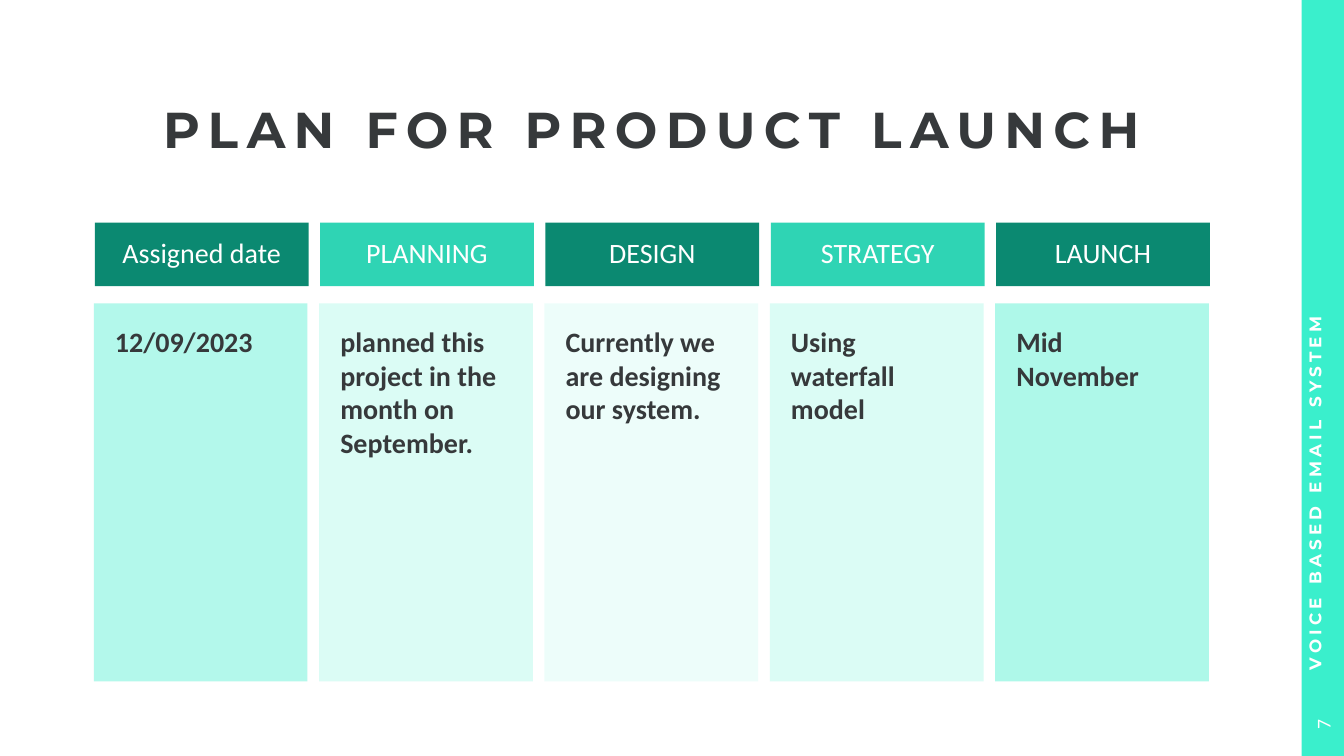
from lxml import etree
from pptx import Presentation
from pptx.dml.color import RGBColor
from pptx.enum.shapes import MSO_SHAPE
from pptx.enum.text import MSO_ANCHOR, PP_ALIGN
from pptx.oxml.ns import qn
from pptx.util import Inches, Pt

RECTANGLE = MSO_SHAPE.RECTANGLE
TOP, MIDDLE = MSO_ANCHOR.TOP, MSO_ANCHOR.MIDDLE
LEFT, CENTER = PP_ALIGN.LEFT, PP_ALIGN.CENTER

COLORS = {
    "sidebar": "3AEFCC",
    "dark": "0B8971",
    "bright": "11CEA9",
    "mint": "89F5E0",
    "pale": "B0F9EB",
    "faint": "D8FCF5",
    "ink": "36393B",
    "white": "FFFFFF",
}

TITLE = "PLAN FOR PRODUCT LAUNCH"
SIDE_LABEL = "VOICE BASED EMAIL SYSTEM"
SLIDE_NUMBER = "7"
HEADER_FILLS = [("dark", 100), ("bright", 87)]
STAGES = [
    ("Assigned date", "12/09/2023", "mint", 64),
    ("PLANNING", "planned this project in the month on September.", "pale", 45),
    ("DESIGN", "Currently we are designing our system.", "faint", 44),
    ("STRATEGY", "Using waterfall model", "pale", 45),
    ("LAUNCH", "Mid November", "mint", 68),
]

COLUMN_LEFT, COLUMN_PITCH, COLUMN_WIDTH = 0.94, 2.235, 2.12
HEADER_TOP, HEADER_HEIGHT = 2.21, 0.63
BODY_LEFT, BODY_TOP, BODY_HEIGHT = 0.93, 3.01, 3.75


def add_block(slide, box, color, opacity=100):
    shape = slide.shapes.add_shape(RECTANGLE, *map(Inches, box))
    shape.shadow.inherit = False
    shape.line.fill.background()
    shape.fill.solid()
    shape.fill.fore_color.rgb = RGBColor.from_string(COLORS[color])
    if opacity < 100:
        color_element = shape.fill._xPr.find(".//" + qn("a:srgbClr"))
        etree.SubElement(color_element, qn("a:alpha"), val=str(opacity * 1000))
    return shape


def add_label(slide, box, rotation=0):
    shape = slide.shapes.add_textbox(*map(Inches, box))
    shape.rotation = rotation
    return shape


def write(shape, text, size, color, font="Calibri", bold=False, align=LEFT,
          anchor=MIDDLE, insets=(0, 0, 0, 0), line_spacing=1.0, tracking=0):
    frame = shape.text_frame
    frame.word_wrap = True
    frame.vertical_anchor = anchor
    (frame.margin_left, frame.margin_top,
     frame.margin_right, frame.margin_bottom) = map(Inches, insets)
    frame.text = text
    paragraph = frame.paragraphs[0]
    paragraph.alignment = align
    paragraph.line_spacing = line_spacing
    run = paragraph.runs[0]
    run.font.name = font
    run.font.size = Pt(size)
    run.font.bold = bold
    run.font.color.rgb = RGBColor.from_string(COLORS[color])
    if tracking:
        run.font._element.set("spc", str(tracking * 100))


def main():
    presentation = Presentation()
    presentation.slide_width = Inches(13.33)
    presentation.slide_height = Inches(7.5)
    slide = presentation.slides.add_slide(presentation.slide_layouts[6])

    add_block(slide, (12.91, 0, 0.42, 7.5), "sidebar")

    for index, (heading, detail, body_color, body_opacity) in enumerate(STAGES):
        offset = index * COLUMN_PITCH
        header_color, header_opacity = HEADER_FILLS[index % 2]
        header = add_block(
            slide, (COLUMN_LEFT + offset, HEADER_TOP, COLUMN_WIDTH, HEADER_HEIGHT),
            header_color, header_opacity)
        write(header, heading, 20, "white", align=CENTER,
              insets=[0.17] * 4, line_spacing=0.9)
        body = add_block(
            slide, (BODY_LEFT + offset, BODY_TOP, COLUMN_WIDTH, BODY_HEIGHT),
            body_color, body_opacity)
        write(body, detail, 20, "ink", bold=True, anchor=TOP, insets=[0.21] * 4)

    title = add_label(slide, (0.93, 0.96, 11.07, 0.71))
    write(title, TITLE, 36, "ink", "Montserrat", bold=True, align=CENTER,
          line_spacing=0.9, tracking=6)

    side_label = add_label(slide, (9.6, 3.23, 6.88, 0.42), 270)
    write(side_label, SIDE_LABEL, 12, "white", "Montserrat", bold=True,
          insets=(0.23, 0.05, 0.1, 0.05), tracking=3)

    number = add_label(slide, (12.81, 6.98, 0.62, 0.42), 270)
    write(number, SLIDE_NUMBER, 14, "white", align=CENTER,
          insets=(0.1, 0.05, 0.1, 0.05))

    presentation.save("out.pptx")


if __name__ == "__main__":
    main()
